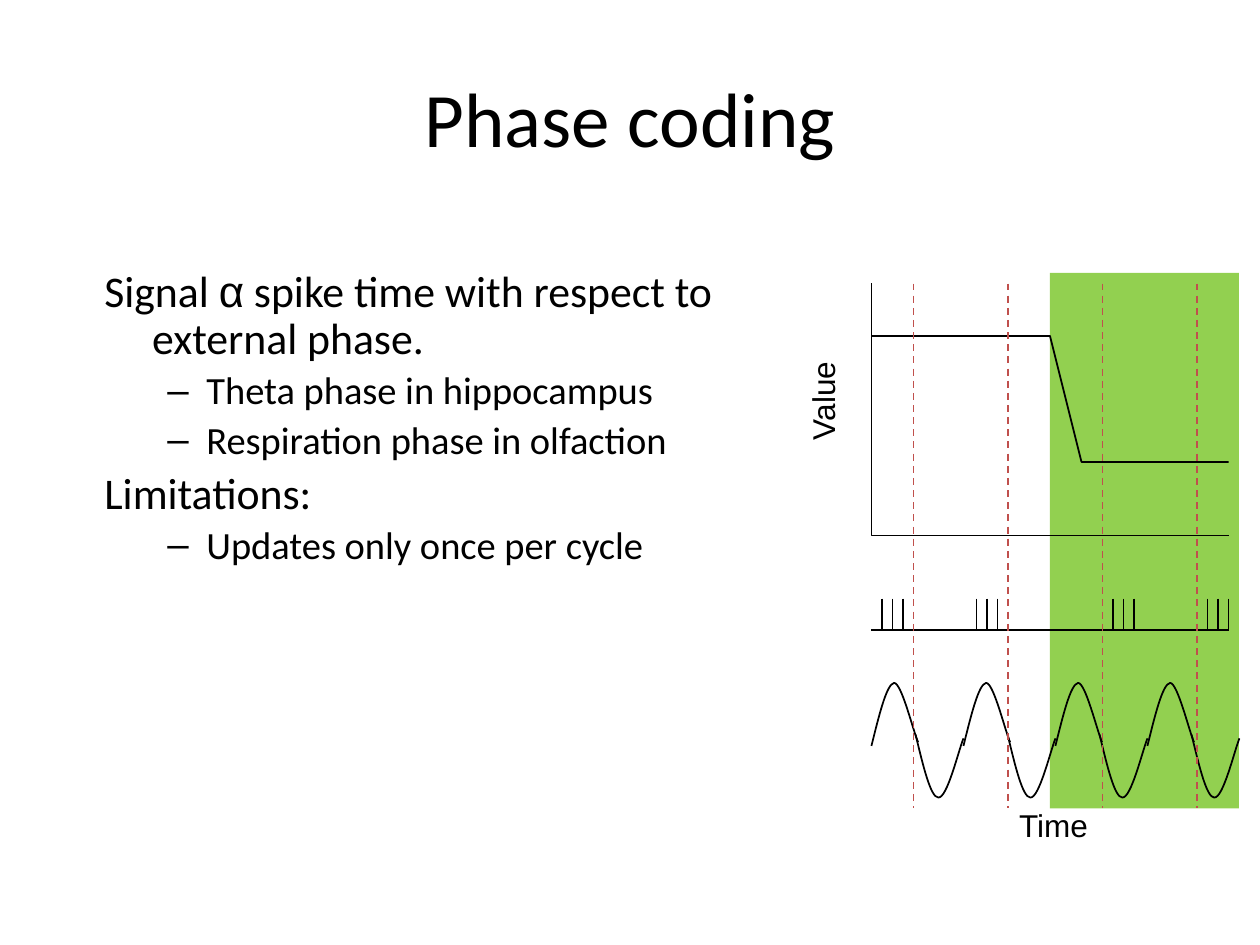
from lxml import etree
from pptx import Presentation
from pptx.dml.color import RGBColor
from pptx.enum import dml, shapes, text
from pptx.oxml import ns
from pptx.util import Inches, Pt

BLACK = RGBColor(0, 0, 0)
GREEN = RGBColor(0x92, 0xD0, 0x50)
RED = RGBColor(0xC0, 0x50, 0x4D)

# Content: (level, runs), each run a text and its font
BODY = [
    (0, [("Signal ", "Calibri"), ("α", "Arial"),
         (" spike time with respect to external phase.", "Calibri")]),
    (1, [("Theta phase in hippocampus", "Calibri")]),
    (1, [("Respiration phase in olfaction", "Calibri")]),
    (0, [("Limitations:", "Calibri")]),
    (1, [("Updates only once per cycle", "Calibri")]),
]
# Per level: size, left margin, first-line indent, bullet
LEVELS = [(25, 0.38, -0.38, None), (22, 0.81, -0.31, "–")]

# Diagram, in inches on a grid of twelfths
UNIT = 1 / 12
LEFT, RIGHT, TOP, BOTTOM = 83 * UNIT, 9.75, 2.25, 77 * UNIT
CHANGE = 100 * UNIT
PERIOD_TOP = 26 * UNIT
HIGH, LOW = 32 * UNIT, 44 * UNIT
AXES = [(LEFT, TOP), (LEFT, 4.25), (RIGHT, 4.25)]
VALUE = [(LEFT, HIGH), (CHANGE, HIGH), (CHANGE + 0.25, LOW), (RIGHT, LOW)]
SPIKE_TOP, SPIKE_BASE = 4.75, 5
BURSTS = [7, 7.75, 106 * UNIT, 115 * UNIT]
PHASES = [7.25, 8, 8.75, 9.5]
CYCLE, CYCLES = 0.73, 4
# Bezier control points of each half wave, relative to the cycle start
CREST = [(0, 5.92), (0.06, 5.68), (0.12, 5.43), (0.18, 5.42),
         (0.24, 5.42), (0.33, 5.8), (0.37, 5.89)]
TROUGH = [(0.35, 5.83), (0.41, 6.08), (0.47, 6.33), (0.53, 6.33),
          (0.6, 6.34), (0.69, 5.96), (0.73, 5.86)]

presentation = Presentation()
presentation.slide_width, presentation.slide_height = Inches(10), Inches(7.5)
slide = presentation.slides.add_slide(presentation.slide_layouts[6])


def add_text(box, paragraphs, size=18, align=text.PP_ALIGN.LEFT,
             anchor=text.MSO_ANCHOR.TOP, wrap=True, rotation=0, levels=None):
    shape = slide.shapes.add_textbox(*map(Inches, box))
    shape.rotation = rotation
    frame = shape.text_frame
    frame.word_wrap, frame.vertical_anchor = wrap, anchor
    for index, (level, runs) in enumerate(paragraphs):
        paragraph = frame.add_paragraph() if index else frame.paragraphs[0]
        paragraph.alignment = align
        if levels:
            size, margin, indent, bullet = levels[level]
            paragraph.level = level
            paragraph.line_spacing = 0.9
            paragraph.space_before = Pt(size * 0.2)
            properties = paragraph._p.get_or_add_pPr()
            properties.set("marL", str(Inches(margin)))
            properties.set("indent", str(Inches(indent)))
            if bullet:
                etree.SubElement(properties, ns.qn("a:buFont"),
                                 typeface="Arial")
                etree.SubElement(properties, ns.qn("a:buChar"), char=bullet)
        for words, font_name in runs:
            run = paragraph.add_run()
            run.text = words
            run.font.name, run.font.size = font_name, Pt(size)
            run.font.color.rgb = BLACK


def add_line(start, end, color=BLACK, dash=None):
    line = slide.shapes.add_connector(
        shapes.MSO_CONNECTOR.STRAIGHT, *map(Inches, start + end))
    line.line.color.rgb, line.line.width = color, Pt(1)
    if dash:
        line.line.dash_style = dash
    etree.SubElement(line._element.spPr, ns.qn("a:effectLst"))


def add_path(points, curved=False):
    start, *rest = [(Inches(x), Inches(y)) for x, y in points]
    builder = slide.shapes.build_freeform(*start)
    builder.add_line_segments(rest, close=False)
    shape = builder.convert_to_shape()
    shape.shadow.inherit = False
    shape.fill.background()
    shape.line.color.rgb, shape.line.width = BLACK, Pt(1)
    if curved:
        # Each three line segments become one cubic curve
        segments = list(shape._element.iter(ns.qn("a:lnTo")))
        outline = segments[0].getparent()
        for first in range(0, len(segments), 3):
            curve = etree.SubElement(outline, ns.qn("a:cubicBezTo"))
            for segment in segments[first:first + 3]:
                curve.append(segment[0])
                outline.remove(segment)


# Highlighted period after the change
period = slide.shapes.add_shape(
    shapes.MSO_SHAPE.RECTANGLE,
    *map(Inches, (CHANGE, PERIOD_TOP, 1.5, BOTTOM - PERIOD_TOP)))
period.shadow.inherit = False
period.fill.solid()
period.fill.fore_color.rgb = GREEN
period.line.fill.background()

# Title and body
add_text((0.5, 0.3, 9, 1.25), [(0, [("Phase coding", "Calibri")])], size=44,
         align=text.PP_ALIGN.CENTER, anchor=text.MSO_ANCHOR.MIDDLE)
add_text((0.73, 2.09, 5.58, 4.72), BODY, levels=LEVELS)

# Axes, labels and value curve
add_path(AXES)
add_text((7.99, 6.35, 0.76, 0.4), [(0, [("Time", "Arial")])], wrap=False)
add_text((6.11, 2.97, 0.84, 0.4), [(0, [("Value", "Arial")])], wrap=False,
         rotation=270)
add_path(VALUE)

# Spike train
add_line((LEFT, SPIKE_BASE), (RIGHT, SPIKE_BASE))
for burst in BURSTS:
    for spike in range(3):
        x = burst + spike * UNIT
        add_line((x, SPIKE_TOP), (x, SPIKE_BASE))

# External oscillation
for cycle in range(CYCLES):
    for half_wave in (CREST, TROUGH):
        add_path([(LEFT + cycle * CYCLE + x, y) for x, y in half_wave],
                 curved=True)

# Phase markers
for x in PHASES:
    add_line((x, TOP), (x, BOTTOM), RED, dml.MSO_LINE.DASH)

presentation.save("out.pptx")
